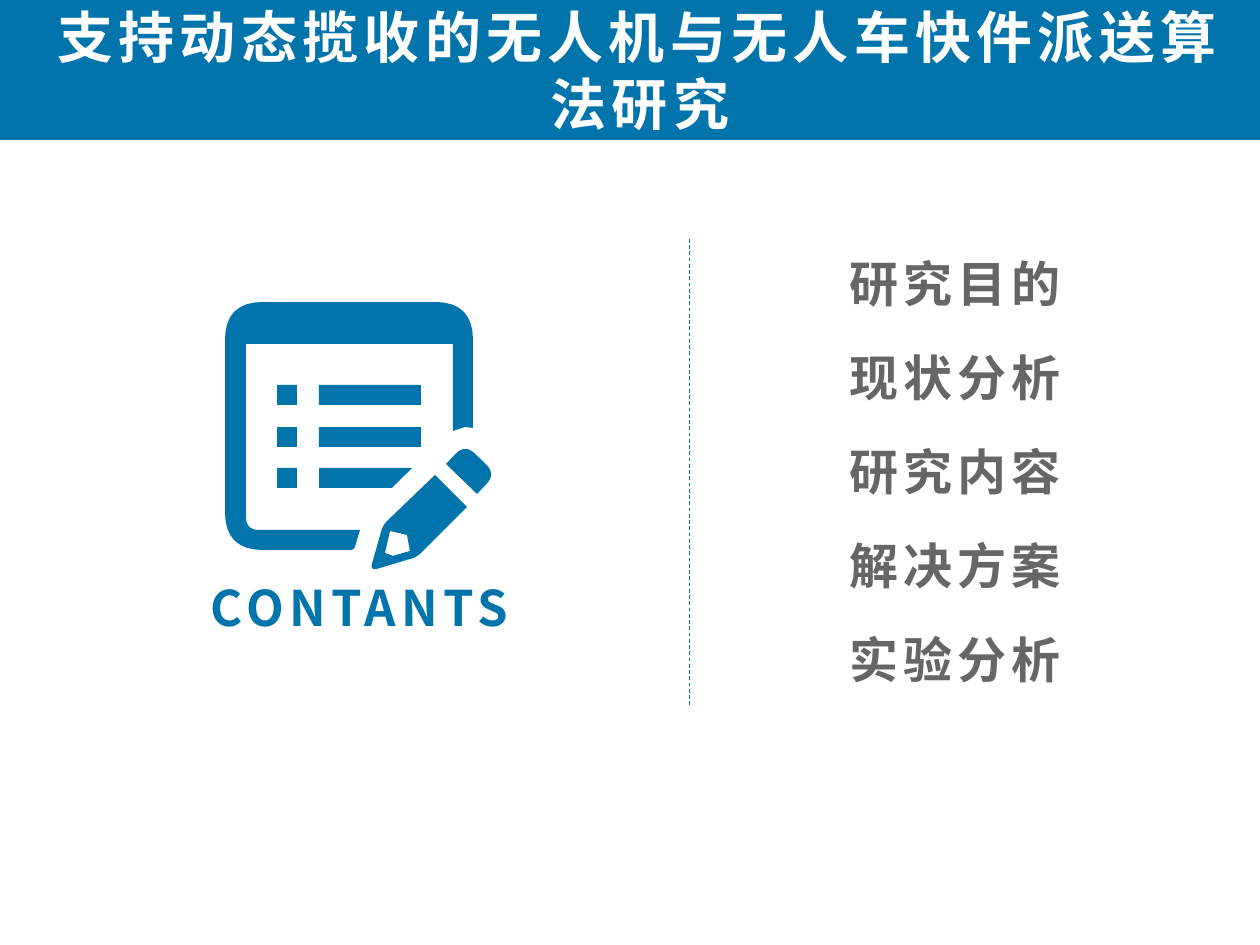
from pptx import Presentation
from pptx.dml.color import RGBColor
from pptx.enum.dml import MSO_LINE
from pptx.enum.shapes import MSO_CONNECTOR, MSO_SHAPE
from pptx.enum.text import MSO_ANCHOR, PP_ALIGN
from pptx.oxml.ns import qn
from pptx.util import Pt
from lxml import etree

PX = 914400 / 126
FONT = "Noto Sans CJK SC"
COLORS = {"blue": "0174AB", "gray": "666666", "white": "FFFFFF"}
RECTANGLE, STRAIGHT, DASH = MSO_SHAPE.RECTANGLE, MSO_CONNECTOR.STRAIGHT, MSO_LINE.DASH
TOP, MIDDLE = MSO_ANCHOR.TOP, MSO_ANCHOR.MIDDLE
LEFT, CENTER = PP_ALIGN.LEFT, PP_ALIGN.CENTER

TITLE = "支持动态揽收的无人机与无人车快件派送算法研究"
TOPICS = ["研究目的", "现状分析", "研究内容", "解决方案", "实验分析"]

FRAME = [(0, 0, 38), (248, 0, 38), (248, 126), (240, 125), (228, 129), (228, 42),
         (21, 42), (21, 228, 13), (135, 228), (129, 248, 4), (0, 248, 38)]
PENCIL = [(210, 173), (242, 205), (192, 255, 6), (145, 269, 8), (158, 223, 6)]
PENCIL_TIP = [(165, 229), (182, 233), (185, 249), (168, 254), (160, 251)]
ERASER = [(221, 162), (240, 142, 14), (271, 172, 14), (252, 192)]
SHORT_LINE = [(94, 166), (187, 166), (167, 186), (94, 186)]


def emu(*lengths):
    """Turn px lengths into EMU."""
    return [round(length * PX) for length in lengths]


def color(name):
    """Look up a named colour."""
    return RGBColor.from_string(COLORS[name])


def paint(shape):
    """Give a shape a flat blue fill without line or shadow."""
    shape.shadow.inherit = False
    shape.fill.solid()
    shape.fill.fore_color.rgb = color("blue")
    shape.line.fill.background()


def write(box, text, size, fill, align, anchor, margin_top=0, spacing=None):
    """Fill a text box with one spaced bold paragraph."""
    frame = box.text_frame
    settings = {"word_wrap": True, "vertical_anchor": anchor, "margin_top": emu(margin_top)[0],
                "margin_bottom": 0, "margin_left": Pt(7.2), "margin_right": Pt(7.2)}
    for name, value in settings.items():
        setattr(frame, name, value)
    para = frame.paragraphs[0]
    para.alignment = align
    para.line_spacing = spacing
    span = para.add_run()
    span.text = text
    for name, value in {"size": Pt(size), "bold": True, "name": FONT}.items():
        setattr(span.font, name, value)
    span.font.color.rgb = color(fill)
    properties = span.font._element
    properties.set("spc", "300")
    east_asian = etree.Element(qn("a:ea"), typeface=FONT)
    properties.find(qn("a:latin")).addnext(east_asian)


def soften(corners, steps=8):
    """Return outline points in EMU, rounding each corner that has a radius."""
    points = []
    for index, (x, y, *radius) in enumerate(corners):
        if not radius:
            points.append(emu(x, y))
            continue
        ends = []
        for near in (corners[index - 1], corners[(index + 1) % len(corners)]):
            dx, dy = near[0] - x, near[1] - y
            ratio = radius[0] / (dx * dx + dy * dy) ** 0.5
            ends.append((x + dx * ratio, y + dy * ratio))
        for step in range(steps + 1):
            t = step / steps
            points.append(emu(*((1 - t) ** 2 * a + 2 * t * (1 - t) * corner + t ** 2 * b
                                for a, corner, b in zip(ends[0], (x, y), ends[1]))))
    return points


def add_outline(shapes, left, top, *contours):
    """Draw a blue freeform from one or more closed contours."""
    first, *others = [soften(corners) for corners in contours]
    builder = shapes.build_freeform(*first[0], scale=1.0)
    builder.add_line_segments(first[1:], close=True)
    for points in others:
        builder.move_to(*points[0])
        builder.add_line_segments(points[1:], close=True)
    paint(builder.convert_to_shape(*emu(left, top)))


def add_title_band(page, left, top, width, height):
    """Place the blue band and the slide title on it."""
    band = page.shapes.add_shape(RECTANGLE, *emu(left, top, width, height))
    paint(band)
    title = page.shapes.title
    title.left, title.top, title.width, title.height = emu(left + 20, top - 9, width - 20, height + 9)
    write(title, TITLE, 32, "white", CENTER, TOP, 11, Pt(38.4))
    title._element.addprevious(band._element)


def add_list_icon(page, left, top):
    """Draw the checklist and pencil icon as a group."""
    shapes = page.shapes.add_group_shape().shapes
    for contours in ([FRAME], [PENCIL, PENCIL_TIP], [ERASER], [SHORT_LINE]):
        add_outline(shapes, left, top, *contours)
    bars = [(52, y, 20) for y in (83, 125, 166)] + [(94, y, 102) for y in (83, 125)]
    for x, y, width in bars:
        paint(shapes.add_shape(RECTANGLE, *emu(left + x, top + y, width, 20)))


def add_divider(page, x, top, bottom):
    """Draw the dashed vertical divider."""
    line = page.shapes.add_connector(STRAIGHT, *emu(x, top, x, bottom))
    line.line.color.rgb = color("blue")
    line.line.width = Pt(0.5)
    line.line.dash_style = DASH
    etree.SubElement(line._element.spPr, qn("a:effectLst"))


def add_label(page, box, text, fill, align):
    """Place a one-line label."""
    write(page.shapes.add_textbox(*emu(*box)), text, 28, fill, align, MIDDLE)


def add_topics(page, left, top, width, height, pitch):
    """List the topics at an even pitch."""
    for index, topic in enumerate(TOPICS):
        add_label(page, (left, top + index * pitch, width, height), topic, "gray", LEFT)


def main():
    """Build the contents slide."""
    deck = Presentation()
    deck.slide_width, deck.slide_height = emu(1260, 945)
    page = deck.slides.add_slide(deck.slide_layouts[5])
    add_divider(page, 689, 239, 705)
    add_topics(page, 837, 247, 247, 72, 94)
    add_list_icon(page, 225, 302)
    add_label(page, (176, 571, 367, 72), "CONTANTS", "blue", CENTER)
    add_title_band(page, 0, 0, 1260, 140)
    deck.save("out.pptx")


if __name__ == "__main__":
    main()
